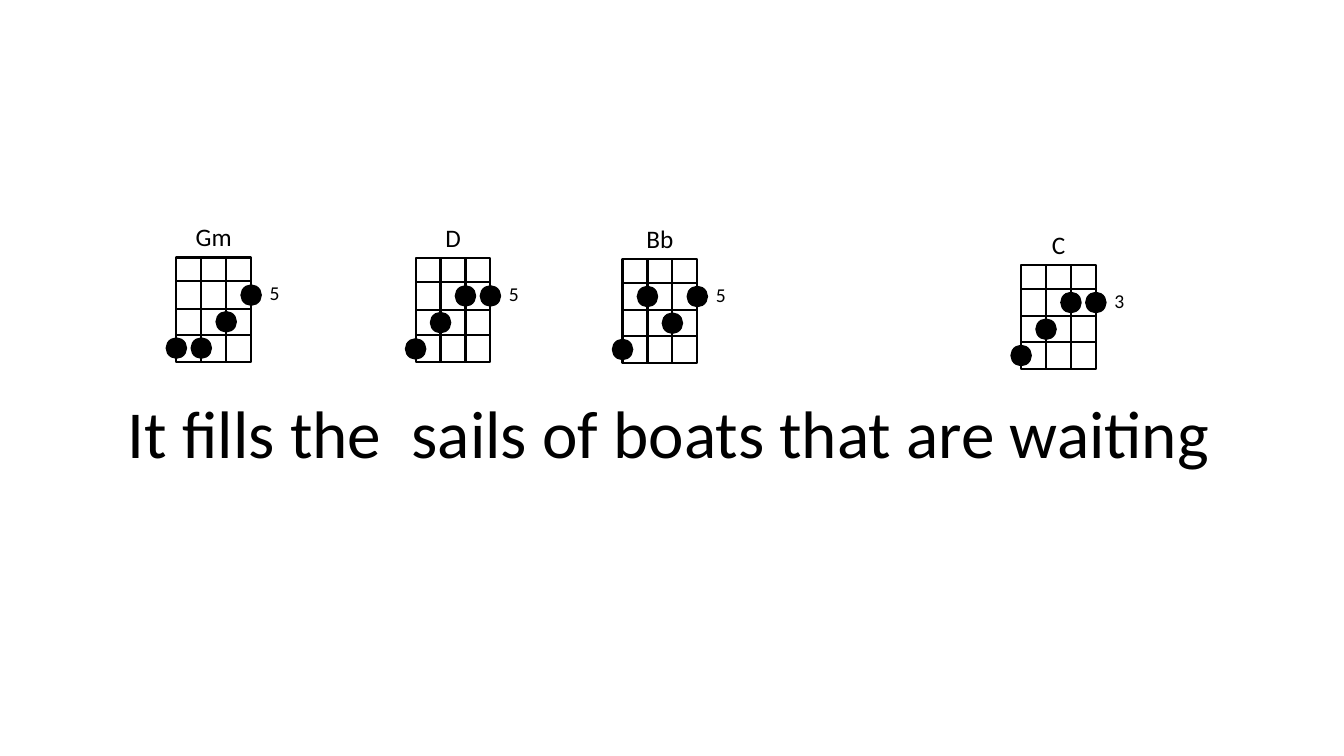
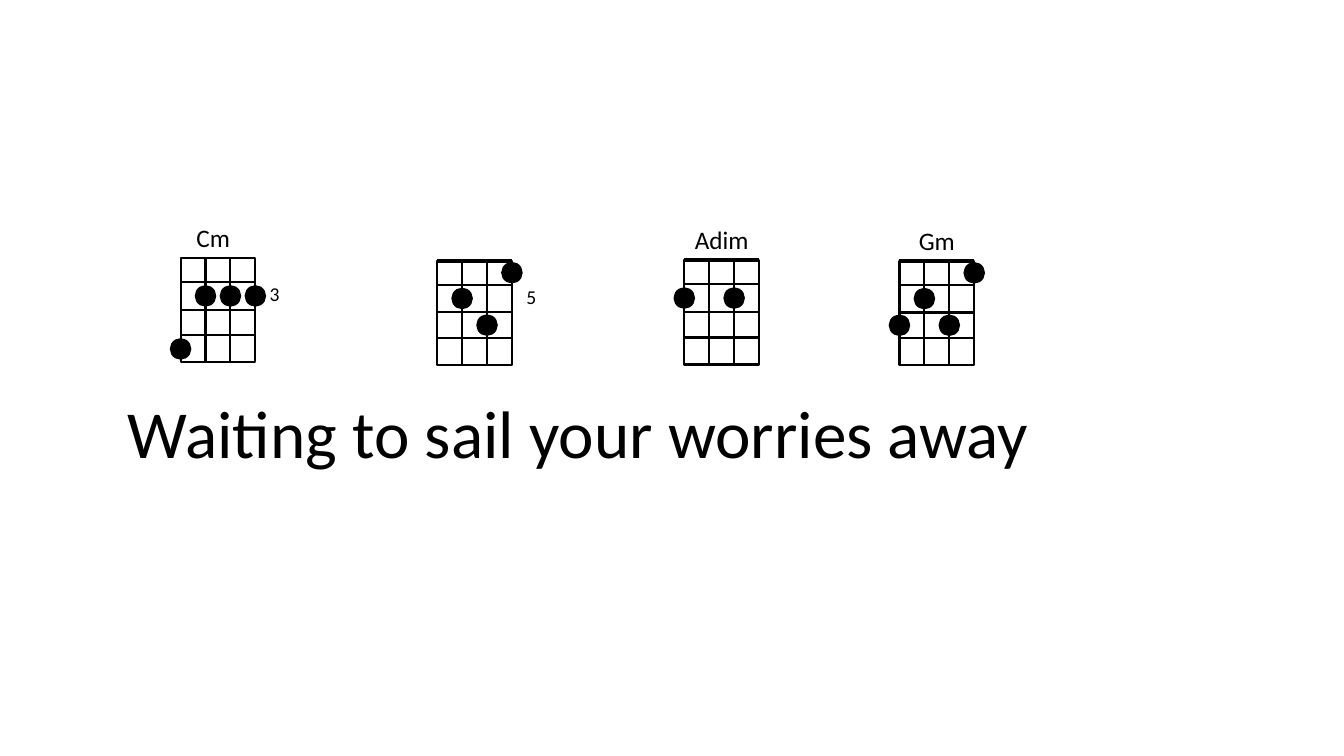
"""Build two lyric slides with ukulele chord diagrams."""
import lxml.etree
import pptx
import pptx.dml.color
import pptx.enum.shapes
import pptx.enum.text
import pptx.oxml.ns
import pptx.util

Pt = pptx.util.Pt
SHAPES = pptx.enum.shapes.MSO_SHAPE
ALIGN = pptx.enum.text.PP_ALIGN


def color(hex_text):
    return pptx.dml.color.RGBColor.from_string(hex_text)


def write(shape, text, size, font="Calibri", ink="000000", align=ALIGN.LEFT, wrap=False):
    frame = shape.text_frame
    frame.word_wrap = wrap
    frame.auto_size = pptx.enum.text.MSO_AUTO_SIZE.NONE
    frame.vertical_anchor = pptx.enum.text.MSO_ANCHOR.TOP
    paragraph = frame.paragraphs[0]
    paragraph.alignment = align
    run = paragraph.add_run()
    run.text = text
    run.font.name = font
    run.font.size = Pt(size)
    run.font.color.rgb = color(ink)


class SongSheet:
    ink = "000000"
    title_only_layout = 5
    string_gap = 17.8
    fret_lines = (0, 17, 36.8, 55.1, 74.4)
    grid_width = 3 * string_gap
    grid_height = fret_lines[-1]
    dot_size = 14.4

    def __init__(self):
        self.presentation = pptx.Presentation()
        self.presentation.slide_width = Pt(960)
        self.presentation.slide_height = Pt(540)
        self.slide = None

    def add_slide(self, lyric):
        layout = self.presentation.slide_layouts[self.title_only_layout]
        self.slide = self.presentation.slides.add_slide(layout)
        title = self.slide.shapes.title
        title.left, title.top = Pt(84.2), Pt(275.8)
        title.width, title.height = Pt(832.3), Pt(65.5)
        write(title, lyric, 48, wrap=True)

    def label(self, text, left, top, width, height, size, align=ALIGN.LEFT):
        box = self.slide.shapes.add_textbox(Pt(left), Pt(top), Pt(width), Pt(height))
        write(box, text, size, ink=self.ink, align=align)

    def outline(self, shape, width):
        shape.line.color.rgb = color(self.ink)
        shape.line.width = Pt(width)

    def line(self, group, x1, y1, x2, y2, width=1.5):
        connector = group.shapes.add_connector(
            pptx.enum.shapes.MSO_CONNECTOR.STRAIGHT, Pt(x1), Pt(y1), Pt(x2), Pt(y2))
        self.outline(connector, width)
        lxml.etree.SubElement(connector._element.spPr, pptx.oxml.ns.qn("a:effectLst"))

    def grid(self, group, left, top):
        frame = group.shapes.add_shape(
            SHAPES.RECTANGLE, Pt(left), Pt(top), Pt(self.grid_width), Pt(self.grid_height))
        frame.shadow.inherit = False
        frame.fill.background()
        self.outline(frame, 1.5)
        for string in (1, 2):
            x = left + string * self.string_gap
            self.line(group, x, top, x, top + self.grid_height)
        for offset in self.fret_lines[1:-1]:
            self.line(group, left, top + offset, left + self.grid_width, top + offset)

    def dot(self, group, left, top, string, fret):
        x = left + string * self.string_gap - self.dot_size / 2
        middle = (self.fret_lines[fret - 1] + self.fret_lines[fret]) / 2
        y = top + middle - self.dot_size / 2
        dot = group.shapes.add_shape(
            SHAPES.OVAL, Pt(x), Pt(y), Pt(self.dot_size), Pt(self.dot_size))
        dot.shadow.inherit = False
        dot.fill.solid()
        dot.fill.fore_color.rgb = color(self.ink)
        self.outline(dot, 1)

    def chord(self, left, top, frets, name="", name_width=0, name_shift=0,
              position="", position_gap=59.5, nut=False):
        group = self.slide.shapes.add_group_shape()
        self.grid(group, left, top)
        if nut:
            self.line(group, left, top, left + self.grid_width, top, 3)
        for string, fret in enumerate(frets):
            if fret:
                self.dot(group, left, top, string, fret)
        if name:
            name_left = left + (self.grid_width - name_width) / 2 + name_shift
            self.label(name, name_left, top - 29.2, name_width, 29.1, 18, ALIGN.CENTER)
        if position:
            self.label(position, left + position_gap, top + 13.4, 21.6, 24.2, 14)


sheet = SongSheet()

sheet.add_slide("It fills the  sails of boats that are waiting")
sheet.chord(126, 183.9, (4, 4, 3, 2), "Gm", 40.3, position="5")
sheet.chord(296.9, 184.5, (4, 3, 2, 2), "D", 25.9, position="5")
sheet.chord(444.7, 184.9, (4, 2, 3, 2), "Bb", 33.8, position="5")
sheet.chord(729.4, 189.2, (4, 3, 2, 2), "C", 24.5, position="3")

sheet.add_slide("Waiting to sail your worries away")
sheet.chord(129, 184.5, (4, 2, 2, 2), "Cm", 38.9, name_shift=-3.4,
            position="3", position_gap=56.6)
sheet.chord(312.3, 186.3, (0, 2, 3, 1), position="5", position_gap=56.6, nut=True)
sheet.chord(488.8, 186, (2, 0, 2, 0), "Adim", 53.3, nut=True)
sheet.chord(642.5, 186.4, (3, 2, 3, 1), "Gm", 40.3, nut=True)

sheet.presentation.save("out.pptx")
